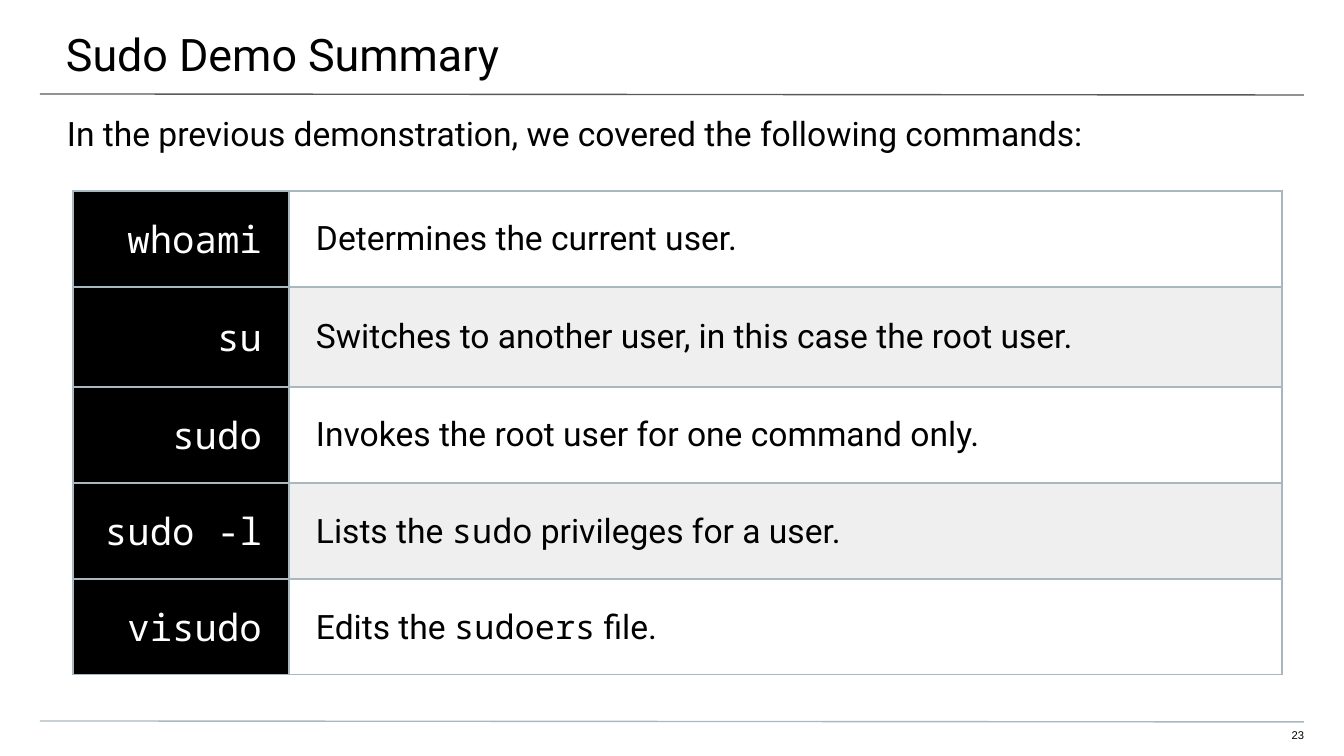
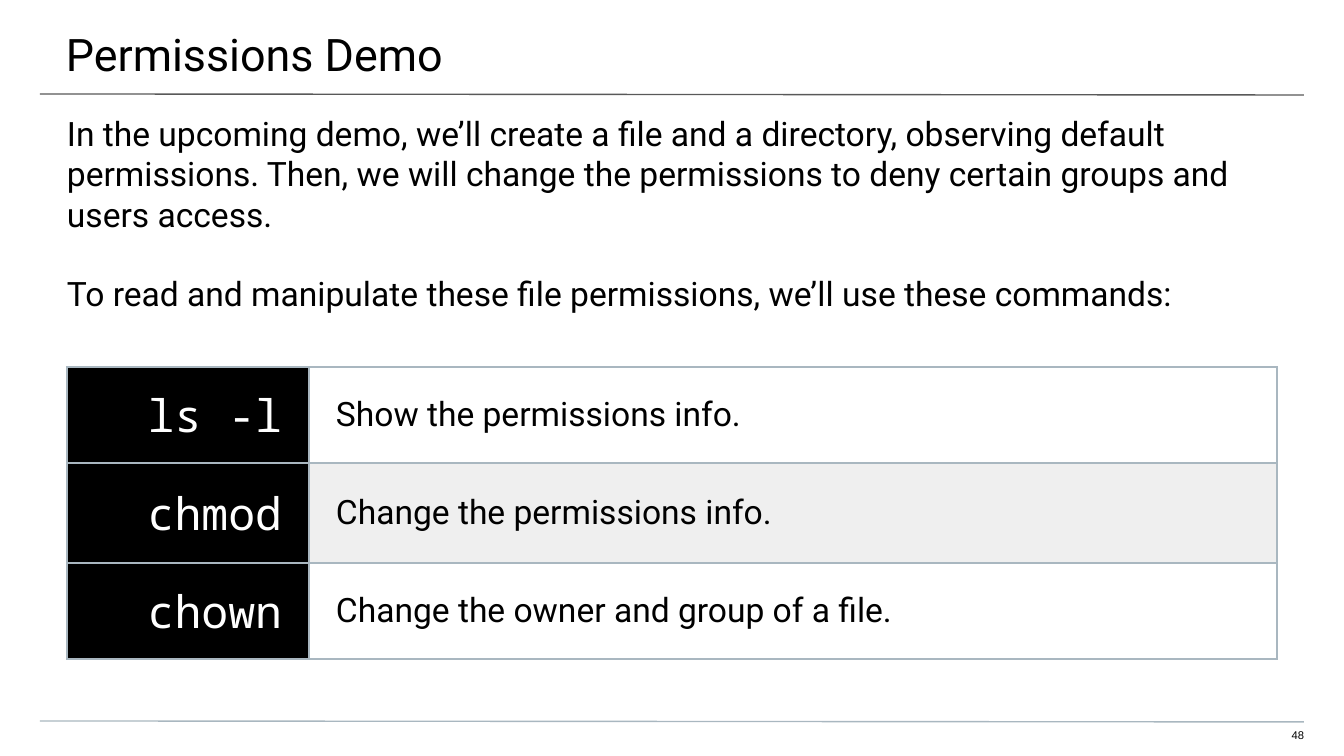
from dataclasses import dataclass

from lxml.etree import SubElement
from pptx import Presentation
from pptx.dml.color import RGBColor
from pptx.enum.shapes import MSO_CONNECTOR
from pptx.enum.text import MSO_ANCHOR, PP_ALIGN
from pptx.oxml.ns import qn
from pptx.util import Emu, Pt

SLIDES = [
    {
        "title": "Sudo Demo Summary",
        "intro": ["In the previous demonstration, we covered the following commands:"],
        "intro_height": 159,
        "page": "23",
        "table_at": (73, 191),
        "columns": (216, 993),
        "rows": (96, 100, 96, 96, 96),
        "command_size": 20,
        "commands": [
            ("whoami", "Determines the current user."),
            ("su", "Switches to another user, in this case the root user."),
            ("sudo", "Invokes the root user for one command only."),
            ("sudo -l", "Lists the `sudo` privileges for a user."),
            ("visudo", "Edits the `sudoers` file."),
        ],
    },
    {
        "title": "Permissions Demo",
        "intro": [
            "In the upcoming demo, we’ll create a file and a directory, observing default "
            "permissions. Then, we will change the permissions to deny certain groups and "
            "users access.",
            "To read and manipulate these file permissions, we’ll use these commands:",
        ],
        "intro_height": 54,
        "page": "48",
        "table_at": (67, 367),
        "columns": (242, 968),
        "rows": (96, 100, 96),
        "command_size": 24,
        "commands": [
            ("ls -l", "Show the permissions info."),
            ("chmod", "Change the permissions info."),
            ("chown", "Change the owner and group of a file."),
        ],
    },
]


@dataclass(frozen=True)
class Theme:
    black: str = "000000"
    white: str = "FFFFFF"
    band: str = "EFEFEF"
    title_rule: str = "595959"
    rule: str = "A9B7C0"
    font: str = "Roboto"
    mono: str = "Noto Sans Mono"
    page_font: str = "Arial"
    title_size: int = 24
    body_size: int = 18
    page_size: int = 6
    line_width: float = 0.75


T = Theme()
WIDTH, HEIGHT = 1344, 756
CELL_INSETS = (27, 13, 27, 13)


def px(n):
    return Emu(round(n * 914400 * 10 / WIDTH))


def write(tf, paragraphs, size=T.body_size, font=T.font, color=T.black,
          align=PP_ALIGN.LEFT, gap=0):
    for i, text in enumerate(paragraphs):
        p = tf.add_paragraph() if i else tf.paragraphs[0]
        p.alignment = align
        p.space_before = Pt(gap if i else 0)
        for j, part in enumerate(text.split("`")):
            r = p.add_run()
            r.text = part
            r.font.name = T.mono if j % 2 else font
            r.font.size = Pt(size)
            r.font.color.rgb = RGBColor.from_string(color)


def set_margins(target, insets):
    (target.margin_left, target.margin_top,
     target.margin_right, target.margin_bottom) = map(px, insets)


def add_text(s, box, insets, paragraphs, **style):
    tf = s.shapes.add_textbox(*map(px, box)).text_frame
    tf.word_wrap = True
    set_margins(tf, insets)
    write(tf, paragraphs, **style)


def add_rule(s, y, color):
    line = s.shapes.add_connector(
        MSO_CONNECTOR.STRAIGHT, px(40), px(y), px(WIDTH - 40), px(y + 1))
    line.line.color.rgb = RGBColor.from_string(color)
    line.line.width = Pt(T.line_width)
    SubElement(line.element.spPr, qn("a:effectLst"))


def set_borders(cell):
    tcPr = cell._tc.get_or_add_tcPr()
    for side in ("lnL", "lnR", "lnT", "lnB"):
        ln = SubElement(tcPr, qn(f"a:{side}"), w=str(Pt(T.line_width)))
        fill = SubElement(ln, qn("a:solidFill"))
        SubElement(fill, qn("a:srgbClr"), val=T.rule)


def fill_cell(cell, text, fill, **style):
    set_borders(cell)
    cell.fill.solid()
    cell.fill.fore_color.rgb = RGBColor.from_string(fill)
    cell.vertical_anchor = MSO_ANCHOR.MIDDLE
    set_margins(cell, CELL_INSETS)
    write(cell.text_frame, [text], **style)


def add_commands(s, data):
    columns, rows = data["columns"], data["rows"]
    box = (*data["table_at"], sum(columns), sum(rows))
    table = s.shapes.add_table(len(rows), len(columns), *map(px, box)).table
    table.first_row = table.horz_banding = False
    for column, width in zip(table.columns, columns):
        column.width = px(width)
    for i, (command, meaning) in enumerate(data["commands"]):
        table.rows[i].height = px(rows[i])
        fill_cell(table.cell(i, 0), command, T.black, size=data["command_size"],
                  font=T.mono, color=T.white, align=PP_ALIGN.RIGHT)
        fill_cell(table.cell(i, 1), meaning, T.band if i % 2 else T.white)


def add_slide(prs, data):
    s = prs.slides.add_slide(prs.slide_layouts[6])
    add_rule(s, 94, T.title_rule)
    add_rule(s, 721, T.rule)
    add_text(s, (-1, 0, 1348, 78), (67, 27, 40, 13), [data["title"]], size=T.title_size)
    add_text(s, (0, 100, WIDTH, data["intro_height"]), (67, 13, 67, 0),
             data["intro"], gap=21)
    add_commands(s, data)
    add_text(s, (1265, 728, 39, 16), (0, 0, 0, 13), [data["page"]],
             size=T.page_size, font=T.page_font, align=PP_ALIGN.RIGHT)


def main():
    prs = Presentation()
    prs.slide_width, prs.slide_height = px(WIDTH), px(HEIGHT)
    for data in SLIDES:
        add_slide(prs, data)
    prs.save("out.pptx")


if __name__ == "__main__":
    main()
